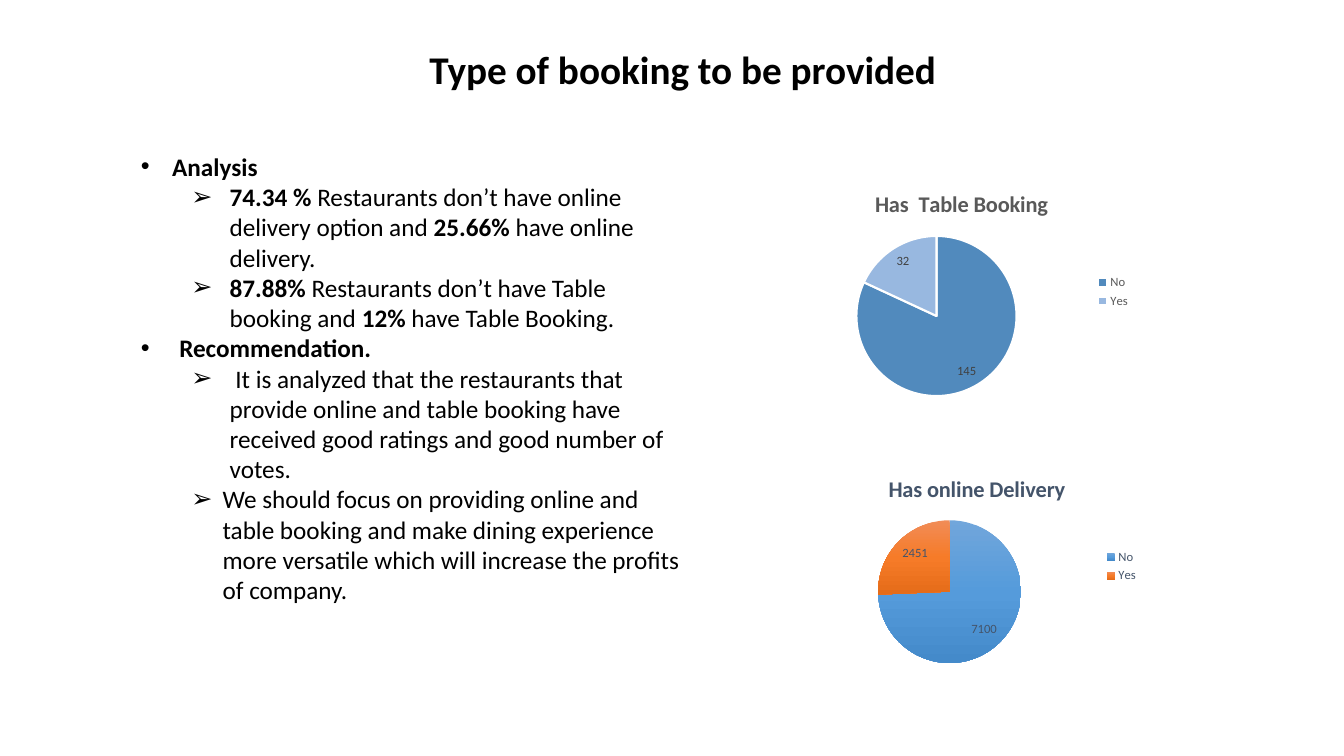
from dataclasses import dataclass

from copy import deepcopy

from lxml import etree
from pptx import Presentation
from pptx.chart.data import CategoryChartData
from pptx.dml.color import RGBColor
from pptx.enum.chart import XL_CHART_TYPE, XL_LABEL_POSITION, XL_LEGEND_POSITION
from pptx.enum.text import MSO_ANCHOR, MSO_AUTO_SIZE, PP_ALIGN
from pptx.oxml import parse_xml
from pptx.oxml.ns import nsdecls, qn
from pptx.util import Pt

PIE = XL_CHART_TYPE.PIE
INSIDE_END = XL_LABEL_POSITION.INSIDE_END
LEGEND_RIGHT = XL_LEGEND_POSITION.RIGHT
TOP = MSO_ANCHOR.TOP
NO_AUTOFIT = MSO_AUTO_SIZE.NONE
CENTER = PP_ALIGN.CENTER

FONT = "Calibri"
BLACK = "000000"
WHITE = "FFFFFF"
EMU_PER_PX = 9144  # 100 px to the inch


@dataclass
class Bullet:
    level: int
    char: str
    margin: int
    hanging: int
    runs: list[tuple[str, bool]]  # text, bold


@dataclass
class Pie:
    title: str
    box: tuple[int, int, int, int]
    title_at: tuple[float, float]  # fractions of the chart
    plot_at: tuple[float, float, float, float]
    values: tuple[int, int]
    fills: list[list[str]]  # one colour, or the stops of a gradient
    outline: str | None
    text_color: str
    label_color: str


BULLETS = [
    Bullet(0, "•", 31, 31, [("Analysis", True)]),
    Bullet(1, "➢", 88, 38, [
        ("74.34 % ", True),
        ("Restaurants don’t have online delivery option and ", False),
        ("25.66% ", True),
        ("have online delivery.", False),
    ]),
    Bullet(1, "➢", 88, 38, [
        ("87.88% ", True),
        ("Restaurants don’t have Table booking and ", False),
        ("12% ", True),
        ("have Table Booking.", False),
    ]),
    Bullet(0, "•", 38, 38, [("Recommendation.", True)]),
    Bullet(1, "➢", 88, 38, [
        (" It is analyzed that the restaurants that provide online and table "
         "booking have received good ratings and good number of votes.", False),
    ]),
    Bullet(1, "➢", 81, 31, [
        ("We should focus on providing online and table booking and make dining "
         "experience more versatile which will increase the profits of company.", False),
    ]),
]

PIES = [
    Pie("Has  Table Booking", (770, 169, 361, 241), (0.26, 0.06), (0.22, 0.27, 0.44, 0.66),
        (145, 32), [["518ABD"], ["98B8E0"]], WHITE, "595959", "404040"),
    Pie("Has online Delivery", (790, 453, 349, 218), (0.25, 0.06), (0.23, 0.29, 0.41, 0.65),
        (7100, 2451), [["71A6DB", "559BDB", "448ACA"], ["F18C57", "F67B28", "E56C19"]],
        None, "44546A", "44546A"),
]


def px(n: int) -> int:
    return n * EMU_PER_PX


def rgb(color: str) -> RGBColor:
    return RGBColor.from_string(color)


def set_font(font, size: int, color: str, bold: bool | None = None) -> None:
    font.name = FONT
    font.size = Pt(size)
    font.color.rgb = rgb(color)
    if bold is not None:
        font.bold = bold


def add_title(slide, text: str) -> None:
    sp = slide.shapes.title
    sp.left, sp.top, sp.width, sp.height = map(px, (130, 41, 1094, 104))
    tf = sp.text_frame
    tf.vertical_anchor = TOP
    tf.auto_size = NO_AUTOFIT
    tf.margin_top = px(9)
    tf.text = text
    p = tf.paragraphs[0]
    p.alignment = CENTER
    p.line_spacing = 0.9
    set_font(p.font, 28, BLACK, True)


def add_bullets(slide, box: tuple[int, int, int, int], bullets: list[Bullet]) -> None:
    tf = slide.shapes.add_textbox(*map(px, box)).text_frame
    tf.word_wrap = True
    for i, bullet in enumerate(bullets):
        p = tf.add_paragraph() if i else tf.paragraphs[0]
        p.level = bullet.level
        p_pr = p._p.get_or_add_pPr()
        p_pr.set("marL", str(px(bullet.margin)))
        p_pr.set("indent", str(-px(bullet.hanging)))
        etree.SubElement(p_pr, qn("a:buFont")).set("typeface", "Arial")
        etree.SubElement(p_pr, qn("a:buChar")).set("char", bullet.char)
        set_font(p.font, 18, BLACK)
        for text, bold in bullet.runs:
            r = p.add_run()
            r.text = text
            r.font.bold = bold


def manual_layout(inner: bool, values: tuple[float, ...]):
    target = '<c:layoutTarget val="inner"/>' if inner else ""
    keys = "xywh"[:len(values)]
    modes = "".join(f'<c:{k}Mode val="edge"/>' for k in "xy")
    places = "".join(f'<c:{k} val="{v}"/>' for k, v in zip(keys, values))
    return parse_xml(f'<c:layout {nsdecls("c")}><c:manualLayout>{target}{modes}{places}'
                     '</c:manualLayout></c:layout>')


def place(parent, index: int, layout) -> None:
    for old in parent.findall(qn("c:layout")):
        parent.remove(old)
    parent.insert(index, layout)


def fill_slice(series, index: int, colors: list[str], outline: str | None) -> None:
    fmt = series.points[index].format
    if len(colors) == 1:
        fmt.fill.solid()
        fmt.fill.fore_color.rgb = rgb(colors[0])
    else:
        fmt.fill.gradient()
        fmt.fill.gradient_angle = 270
        stops = series._element.xpath(".//a:gsLst")[-1]
        while len(stops) < len(colors):
            stops.append(deepcopy(stops[0]))
        for i, (stop, color) in enumerate(zip(fmt.fill.gradient_stops, colors)):
            stop.position = i / (len(colors) - 1)
            stop.color.rgb = rgb(color)
    if outline:
        fmt.line.color.rgb = rgb(outline)
        fmt.line.width = Pt(1.5)
    else:
        fmt.line.fill.background()


def add_pie(slide, pie: Pie) -> None:
    data = CategoryChartData()
    data.categories = ["No", "Yes"]
    data.add_series("Series 1", pie.values)
    chart = slide.shapes.add_chart(PIE, *map(px, pie.box), data).chart
    set_font(chart.font, 10, BLACK)

    # Title and plot area
    tf = chart.chart_title.text_frame
    tf.text = pie.title
    set_font(tf.paragraphs[0].font, 16, pie.text_color, True)
    place(chart.chart_title._element, 1, manual_layout(False, pie.title_at))
    plot = chart.plots[0]
    place(plot._element.getparent(), 0, manual_layout(True, pie.plot_at))

    # Legend
    chart.has_legend = True
    chart.legend.position = LEGEND_RIGHT
    chart.legend.include_in_layout = False
    set_font(chart.legend.font, 9, pie.text_color)

    # Slices and labels
    plot.vary_by_categories = True
    series = plot.series[0]
    for i, colors in enumerate(pie.fills):
        fill_slice(series, i, colors, pie.outline)
    labels = series.data_labels
    labels.show_value = True
    labels.show_percentage = False
    labels.position = INSIDE_END
    set_font(labels.font, 9, pie.label_color)


def main() -> None:
    prs = Presentation()
    prs.slide_width, prs.slide_height = px(1333), px(750)
    slide = prs.slides.add_slide(prs.slide_layouts.get_by_name("Title Only"))
    add_title(slide, "Type of booking to be provided")
    add_bullets(slide, (130, 145, 557, 495), BULLETS)
    for pie in PIES:
        add_pie(slide, pie)
    prs.save("out.pptx")


if __name__ == "__main__":
    main()
